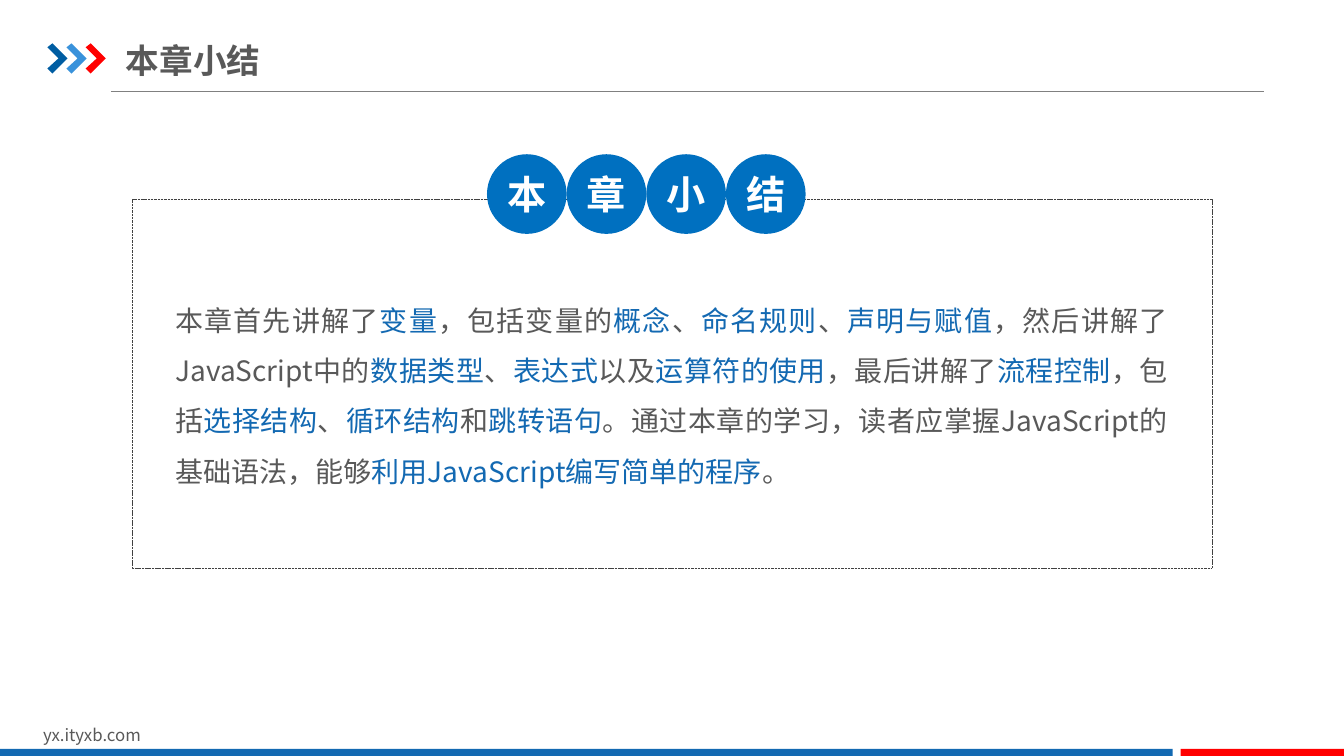
from dataclasses import dataclass

from lxml import etree
from pptx import Presentation
from pptx import util as u
from pptx.dml.color import RGBColor
from pptx.enum import dml, shapes, text
from pptx.oxml.ns import qn

PX = 9144  # EMU in one px, 100 px to the inch
FONT = "Noto Sans CJK SC"
COLORS = {
    "text": "595959", "accent": "1369B2", "circle": "0070C0", "white": "FFFFFF",
    "red": "FF0000", "navy": "005DA2", "sky": "3992DB", "rule": "808080", "frame": "404040",
}


@dataclass
class Box:
    left: int
    top: int
    width: int
    height: int

    def emu(self) -> list[int]:
        return [v * PX for v in (self.left, self.top, self.width, self.height)]


@dataclass
class Style:
    size: int
    color: str = "text"
    bold: bool = False


@dataclass
class Bar:
    box: Box
    color: str


BARS = [Bar(Box(0, 743, 1163, 9), "accent"), Bar(Box(1171, 743, 163, 9), "red")]
CHEVRON = [(0, 4), (5, 0), (20, 15), (5, 30), (0, 25), (11, 15)]
CHEVRON_COLORS = ["navy", "sky", "red"]
CHEVRON_PITCH = 19
TITLE = "本章小结"
CIRCLE = 79

# Plain and highlighted pieces take turns
SUMMARY = [
    "本章首先讲解了", "变量", "，包括变量的", "概念", "、", "命名规则", "、", "声明与赋值",
    "，然后讲解了JavaScript中的", "数据类型", "、", "表达式", "以及", "运算符的使用",
    "，最后讲解了", "流程控制", "，包括", "选择结构", "、", "循环结构", "和", "跳转语句",
    "。通过本章的学习，读者应掌握JavaScript的基础语法，能够",
    "利用JavaScript编写简单的程序", "。",
]


def rgb(name: str) -> RGBColor:
    return RGBColor.from_string(COLORS[name])


def set_attrs(target, values: dict) -> None:
    for name, value in values.items():
        setattr(target, name, value)


def paint(sp, color: str):
    sp.shadow.inherit = False
    sp.fill.solid()
    sp.fill.fore_color.rgb = rgb(color)
    sp.line.fill.background()
    return sp


def add_run(p, words: str, style: Style) -> None:
    r = p.add_run()
    r.text = words
    set_attrs(r.font, {"size": u.Pt(style.size), "bold": style.bold, "name": FONT})
    r.font.color.rgb = rgb(style.color)
    etree.SubElement(r.font._element, qn("a:ea"), typeface=FONT)


def set_frame(tf, side: int, edge: int, anchor, auto_size) -> None:
    set_attrs(tf, {
        "word_wrap": True, "auto_size": auto_size, "vertical_anchor": anchor,
        "margin_left": side * PX, "margin_right": side * PX,
        "margin_top": edge * PX, "margin_bottom": edge * PX,
    })


def add_text(s, box: Box, side: int, edge: int, anchor=text.MSO_ANCHOR.TOP,
             auto_size=text.MSO_AUTO_SIZE.SHAPE_TO_FIT_TEXT):
    tf = s.shapes.add_textbox(*box.emu()).text_frame
    set_frame(tf, side, edge, anchor, auto_size)
    return tf.paragraphs[0]


def add_chevron(s, left: int, top: int, color: str) -> None:
    points = [(left + x, top + y) for x, y in CHEVRON]
    builder = s.shapes.build_freeform(*points[0], scale=PX)
    builder.add_line_segments(points[1:], close=True)
    paint(builder.convert_to_shape(), color)


def add_circle(s, box: Box, char: str) -> None:
    sp = paint(s.shapes.add_shape(shapes.MSO_SHAPE.OVAL, *box.emu()), "circle")
    set_frame(sp.text_frame, 0, 0, text.MSO_ANCHOR.MIDDLE, text.MSO_AUTO_SIZE.NONE)
    p = sp.text_frame.paragraphs[0]
    p.alignment = text.PP_ALIGN.CENTER
    add_run(p, char, Style(28, "white", True))


def main() -> None:
    prs = Presentation()
    set_attrs(prs, {"slide_width": 1333 * PX, "slide_height": 750 * PX})
    s = prs.slides.add_slide(prs.slide_layouts[6])

    # Header rule, chevrons and title
    rule = s.shapes.add_connector(shapes.MSO_CONNECTOR.STRAIGHT,
                                  110 * PX, 91 * PX, 1254 * PX, 91 * PX)
    rule.line.width = u.Pt(0.75)
    rule.line.color.rgb = rgb("rule")
    etree.SubElement(rule._element.spPr, qn("a:effectLst"))
    for i, color in enumerate(CHEVRON_COLORS):
        add_chevron(s, 47 + i * CHEVRON_PITCH, 43, color)
    p = add_text(s, Box(125, 36, 526, 48), 0, 7, text.MSO_ANCHOR.MIDDLE,
                 text.MSO_AUTO_SIZE.NONE)
    add_run(p, TITLE, Style(24, bold=True))

    # Footer
    add_run(add_text(s, Box(33, 714, 318, 30), 10, 5), "yx.ityxb.com", Style(12))
    for bar in BARS:
        paint(s.shapes.add_shape(shapes.MSO_SHAPE.RECTANGLE, *bar.box.emu()), bar.color)

    # Dashed frame
    frame = s.shapes.add_shape(shapes.MSO_SHAPE.ROUNDED_RECTANGLE,
                               *Box(131, 198, 1071, 366).emu())
    frame.adjustments[0] = 0
    frame.shadow.inherit = False
    frame.fill.background()
    frame.line.color.rgb = rgb("frame")
    set_attrs(frame.line, {"width": u.Pt(0.25), "dash_style": dml.MSO_LINE.SQUARE_DOT})

    # Summary paragraph
    p = add_text(s, Box(174, 284, 984, 196), 0, 0)
    set_attrs(p, {"alignment": text.PP_ALIGN.JUSTIFY, "line_spacing": 1.5})
    for i, words in enumerate(SUMMARY):
        add_run(p, words, Style(20, "accent" if i % 2 else "text"))

    # Heading circles
    for i, char in enumerate(TITLE):
        add_circle(s, Box(483 + i * CIRCLE, 153, CIRCLE, CIRCLE), char)

    prs.save("out.pptx")


if __name__ == "__main__":
    main()
